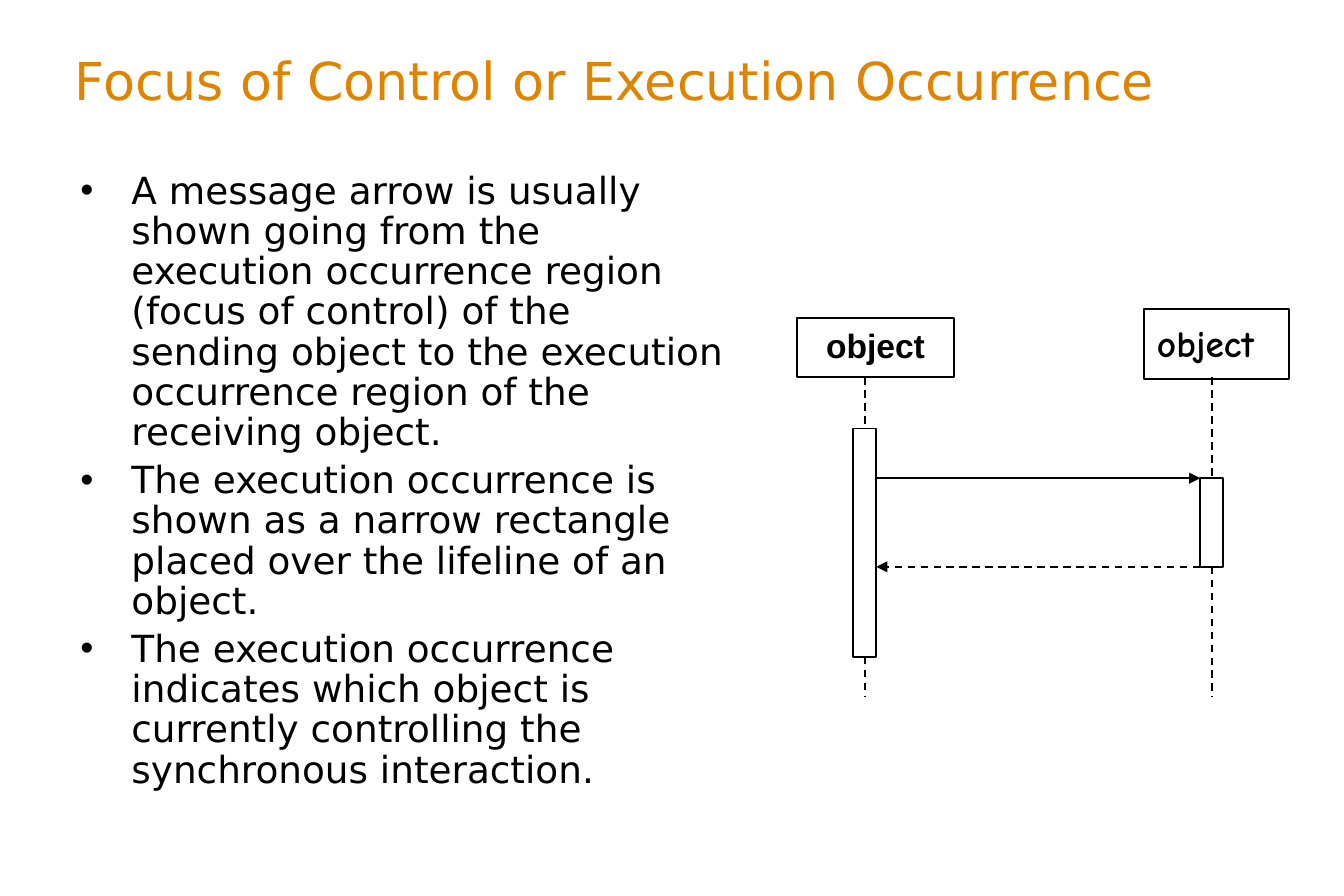
from pptx import Presentation
from pptx.dml.color import RGBColor
from pptx.enum.dml import MSO_LINE
from pptx.enum.shapes import MSO_CONNECTOR, MSO_SHAPE
from pptx.enum.text import MSO_ANCHOR, PP_ALIGN
from pptx.oxml.ns import qn
from pptx.util import Inches, Pt
from lxml import etree

BLACK = RGBColor(0x00, 0x00, 0x00)
ORANGE = RGBColor(0xDE, 0x84, 0x00)
BODY_FONT = "DejaVu Sans"
RECT = MSO_SHAPE.RECTANGLE
STRAIGHT = MSO_CONNECTOR.STRAIGHT
DASH = MSO_LINE.DASH
TOP, MIDDLE = MSO_ANCHOR.TOP, MSO_ANCHOR.MIDDLE
LEFT, CENTER = PP_ALIGN.LEFT, PP_ALIGN.CENTER
TOP_SITE, BOTTOM_SITE = 0, 2

BULLETS = [
    "A message arrow is usually shown going from the execution occurrence region "
    "(focus of control) of the sending object to the execution occurrence region "
    "of the receiving object.",
    "The execution occurrence is shown as a narrow rectangle placed over the "
    "lifeline of an object.",
    "The execution occurrence indicates which object is currently controlling the "
    "synchronous interaction.",
]
HEAD_BOTTOM, LIFE_END = 2.81, 5.19
CALL_Y, RETURN_Y = 3.56, 4.22
BAR_W = 0.17
SENDER_X, RECEIVER_X = 6.35, 8.93


class SlideBuilder:
    """Draws styled elements on the current slide."""

    def __init__(self, s):
        self.s = s

    def run(self, p, text, size, font=BODY_FONT, color=BLACK, bold=False):
        r = p.add_run()
        r.text = text
        r.font.size, r.font.name, r.font.bold = Pt(size), font, bold
        r.font.color.rgb = color

    def text(self, x, y, w, h, text, size, anchor=TOP, spacing=1.0, **style):
        tf = self.s.shapes.add_textbox(Inches(x), Inches(y), Inches(w), Inches(h)).text_frame
        tf.word_wrap = True
        tf.vertical_anchor = anchor
        p = tf.paragraphs[0]
        p.line_spacing = spacing
        self.run(p, text, size, **style)

    def bullets(self, x, y, w, h, items, size):
        tf = self.s.shapes.add_textbox(Inches(x), Inches(y), Inches(w), Inches(h)).text_frame
        tf.word_wrap = True
        for i, item in enumerate(items):
            p = tf.add_paragraph() if i else tf.paragraphs[0]
            p.line_spacing = 0.9
            p.space_before = Pt(4 if i else 0)
            pPr = p._p.get_or_add_pPr()
            pPr.set("marL", str(Inches(0.38)))
            pPr.set("indent", str(-Inches(0.38)))
            etree.SubElement(pPr, qn("a:buFont"), typeface="Arial")
            etree.SubElement(pPr, qn("a:buChar"), char="•")
            self.run(p, item, size)

    def box(self, x, y, w, h, text=None):
        sp = self.s.shapes.add_shape(RECT, Inches(x), Inches(y), Inches(w), Inches(h))
        sp.shadow.inherit = False
        sp.fill.background()
        sp.line.color.rgb = BLACK
        sp.line.width = Pt(1)
        if text:
            tf = sp.text_frame
            tf.word_wrap = False
            tf.vertical_anchor = MIDDLE
            p = tf.paragraphs[0]
            p.alignment = CENTER
            p.line_spacing = 0.9
            self.run(p, text, 18, "Arial", bold=True)
        return sp

    def line(self, x1, y1, x2, y2, dashed=False, arrow=False):
        c = self.s.shapes.add_connector(STRAIGHT, Inches(x1), Inches(y1), Inches(x2), Inches(y2))
        etree.SubElement(c._element.spPr, qn("a:effectLst"))
        c.line.color.rgb = BLACK
        c.line.width = Pt(1)
        if dashed:
            c.line.dash_style = DASH
        if arrow:
            etree.SubElement(c.line._get_or_add_ln(), qn("a:tailEnd"), type="triangle")
        return c

    def lifeline(self, x, bar_top, bar_bottom):
        mid = x + BAR_W / 2
        bar = self.box(x, bar_top, BAR_W, bar_bottom - bar_top)
        self.line(mid, HEAD_BOTTOM, mid, bar_top, dashed=True).end_connect(bar, TOP_SITE)
        self.line(mid, bar_bottom, mid, LIFE_END, dashed=True).begin_connect(bar, BOTTOM_SITE)


def main():
    prs = Presentation()
    prs.slide_width, prs.slide_height = Inches(10), Inches(6.67)
    b = SlideBuilder(prs.slides.add_slide(prs.slide_layouts[6]))

    b.text(0.46, 0.23, 9.33, 0.72, "Focus of Control or Execution Occurrence", 28,
           anchor=MIDDLE, color=ORANGE)
    b.bullets(0.5, 1.23, 5.01, 5.02, BULLETS, 20)

    b.box(5.93, 2.37, 1.17, 0.44, "object")
    b.box(8.51, 2.3, 1.08, 0.52)
    b.text(8.51, 2.37, 1.05, 0.41, "object", 20, spacing=0.9, font="Comic Neue", bold=True)

    b.lifeline(SENDER_X, 3.19, 4.89)
    b.lifeline(RECEIVER_X, CALL_Y, RETURN_Y)
    sender_edge = SENDER_X + BAR_W
    b.line(sender_edge, CALL_Y, RECEIVER_X, CALL_Y, arrow=True)
    b.line(RECEIVER_X, RETURN_Y, sender_edge, RETURN_Y, dashed=True, arrow=True)

    prs.save("out.pptx")


if __name__ == "__main__":
    main()
